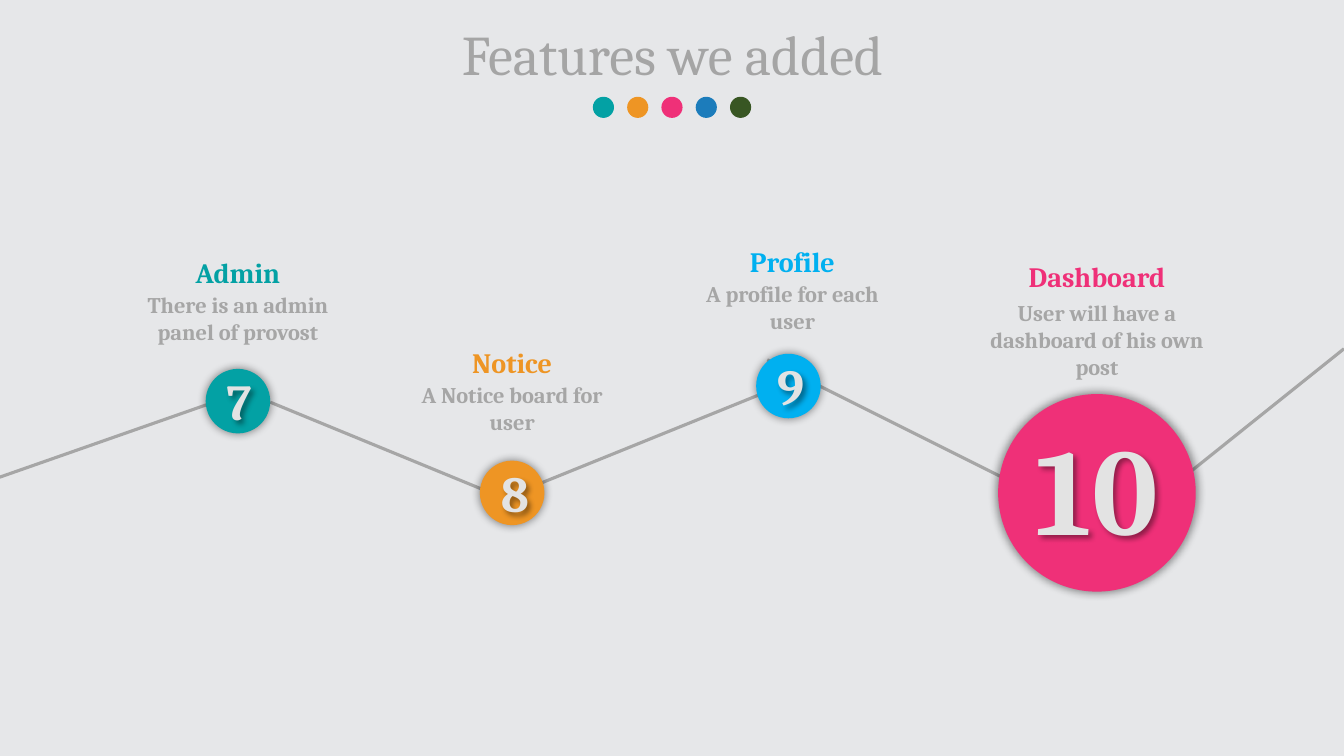
from pptx import Presentation
from pptx.util import Inches, Pt
from pptx.dml.color import RGBColor as RGB
from pptx.enum.shapes import MSO_SHAPE as Shape, MSO_CONNECTOR as Link
from pptx.enum.text import PP_ALIGN as Align, MSO_ANCHOR as Anchor, MSO_AUTO_SIZE as Fit
from pptx.oxml import parse_xml
from pptx.oxml.ns import nsdecls

# Content
TITLE = "Features we added"
DOTS = ["teal", "gold", "pink", "blue", "green"]
# number, colour, centre, diameter, number lift, label centre and top, body gap, heading, body
STEPS = [
    ("10", "pink", (10.88, 4.89), 1.96, 0.06, (10.88, 2.53), 0.39,
     "Dashboard", ["User will have a dashboard of his own post"]),
    ("7", "teal", (2.36, 3.98), 0.64, 0, (2.36, 2.49), 0.35,
     "Admin", ["There is an admin panel of provost"]),
    ("8", "gold", (5.08, 4.89), 0.64, 0, (5.08, 3.38), 0.35,
     "Notice", ["A Notice board for user"]),
    ("9", "sky", (7.82, 3.83), 0.64, 0, (7.86, 2.38), 0.35,
     "Profile", ["A profile for each", "user"]),
]
ROUTE = [
    ((2.15, 3.98), (-0.02, 4.74)),
    ((4.87, 4.89), (2.68, 3.99)),
    ((5.1, 4.9), (7.72, 3.84)),
    ((10.25, 4.89), (7.61, 3.57)),
    ((13.33, 3.46), (11.62, 4.83)),
]

THEME = {
    "font": "Cambria",
    "color": {"back": "E6E7E9", "line": "A6A6A6", "title": "A5A5A5", "digit": "E3E3E3",
              "teal": "03A1A4", "gold": "EE9524", "pink": "EF3078",
              "blue": "1C7CBB", "green": "385623", "sky": "00B0F0"},
    "size": {"title": 40, "head": 20, "body": 16, "digit": 36, "big": 88},
}


def tint(name):
    return RGB.from_string(THEME["color"][name])


def place(left, top, wide, high):
    return [Inches(n) for n in (left, top, wide, high)]


def effect(shape, blur=0, dist=0, angle=0, scale=100, alpha=40):
    """Give a shape a soft black shadow, or none when blur is zero."""
    glow = (f'<a:outerShdw blurRad="{Pt(blur)}" dist="{Pt(dist)}" dir="{angle * 60000}" '
            f'sx="{scale * 1000}" sy="{scale * 1000}" algn="ctr" rotWithShape="0">'
            f'<a:srgbClr val="000000"><a:alpha val="{alpha * 1000}"/></a:srgbClr>'
            '</a:outerShdw>') if blur else ""
    shape._element.spPr.append(
        parse_xml(f'<a:effectLst {nsdecls("a")}>{glow}</a:effectLst>'))


def write(box, lines, size, color, bold=True, wrap=True):
    frame = box.text_frame
    look = {"word_wrap": wrap, "auto_size": Fit.SHAPE_TO_FIT_TEXT,
            "vertical_anchor": Anchor.TOP}
    for key, value in look.items():
        setattr(frame, key, value)
    frame.text = "\n".join(lines)
    form = {"name": THEME["font"], "size": Pt(THEME["size"][size]), "bold": bold}
    for para in frame.paragraphs:
        para.alignment = Align.CENTER
        font = para.runs[0].font
        for key, value in form.items():
            setattr(font, key, value)
        font.color.rgb = tint(color)


def disc(shapes, left, top, size, color):
    shape = shapes.add_shape(Shape.OVAL, *place(left, top, size, size))
    shape.fill.solid()
    shape.fill.fore_color.rgb = tint(color)
    shape.line.fill.background()
    return shape


def main():
    deck = Presentation()
    deck.slide_width, deck.slide_height = Inches(13.33), Inches(7.5)
    slide = deck.slides.add_slide(deck.slide_layouts[5])
    slide.background.fill.solid()
    slide.background.fill.fore_color.rgb = tint("back")
    shapes = slide.shapes

    # Title
    title = shapes.title
    title.left, title.top, title.width, title.height = place(2.69, 0.14, 7.96, 0.77)
    write(title, [TITLE], "title", "title", bold=False)

    # Zigzag route
    for start, end in ROUTE:
        line = shapes.add_connector(Link.STRAIGHT, *[Inches(n) for n in start + end])
        line.line.color.rgb = tint("line")
        line.line.width = Pt(2.25)
        effect(line)

    # Row of dots
    row = shapes.add_group_shape().shapes
    for i, color in enumerate(DOTS):
        disc(row, 5.88 + 0.34 * i, 0.96, 0.21, color).shadow.inherit = False

    # Numbered discs
    for num, color, (x, y), size, lift, *_ in STEPS:
        effect(disc(shapes, x - size / 2, y - size / 2, size, color), blur=6, scale=102)
        big = size > 1
        wide, high = (2.09, 1.58) if big else (0.42, 0.71)
        box = shapes.add_textbox(*place(x - wide / 2, y - lift - high / 2, wide, high))
        write(box, [num], "big" if big else "digit", "digit", wrap=False)
        effect(box, blur=4, dist=3, angle=45)

    # Labels
    wide = 2.33
    for _, color, _, _, _, (x, top), gap, head, body in STEPS:
        pair = shapes.add_group_shape().shapes
        left = x - wide / 2
        write(pair.add_textbox(*place(left, top, wide, 0.44)), [head], "head", color)
        write(pair.add_textbox(*place(left, top + gap, wide, 0.64)), body, "body", "line")

    deck.save("out.pptx")


if __name__ == "__main__":
    main()
